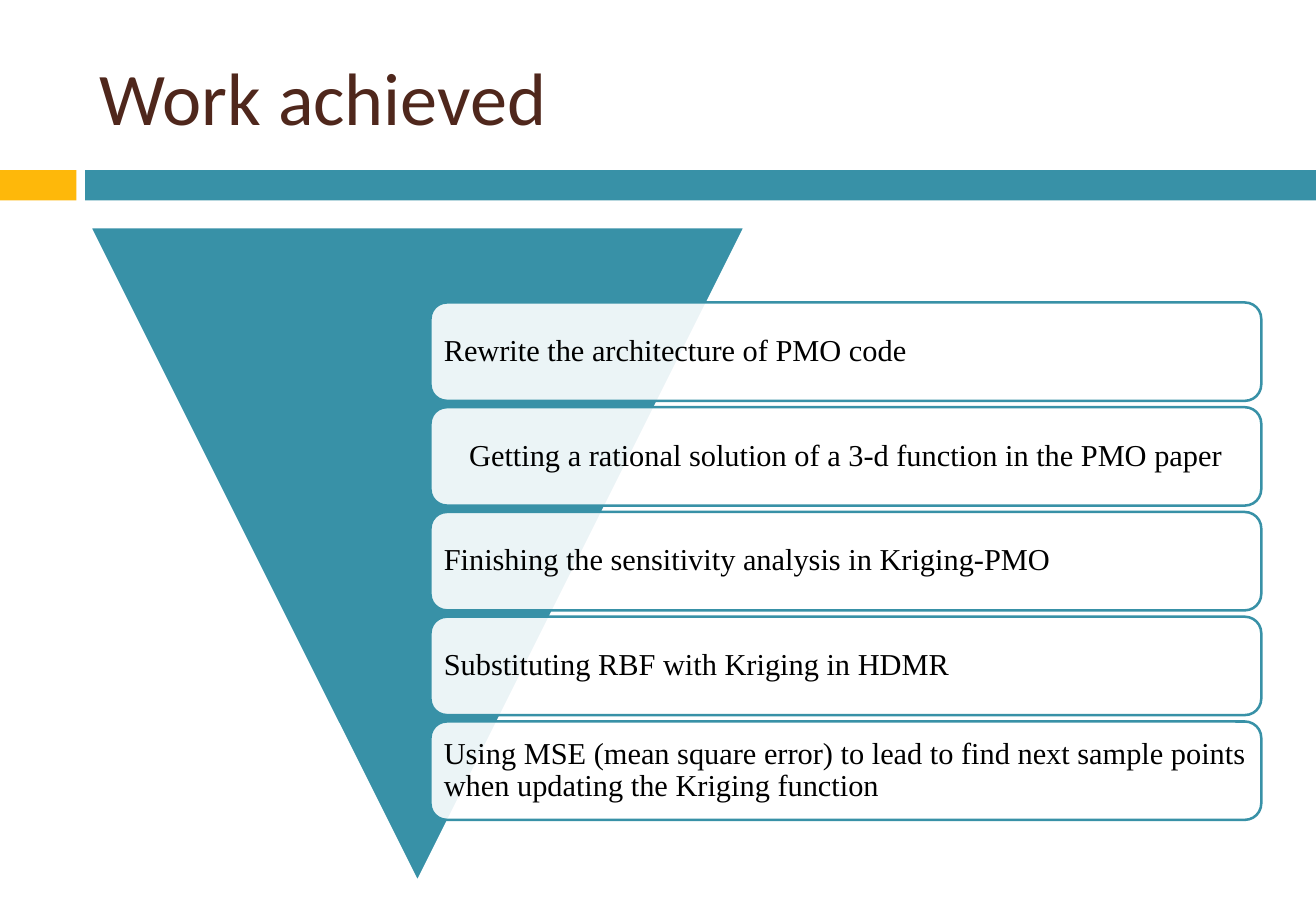
from pptx import Presentation
from pptx.dml.color import RGBColor
from pptx.enum.shapes import MSO_SHAPE
from pptx.enum.text import MSO_ANCHOR, PP_ALIGN
from pptx.oxml.ns import qn
from pptx.util import Inches, Pt
from lxml import etree

RECTANGLE = MSO_SHAPE.RECTANGLE
ROUNDED = MSO_SHAPE.ROUNDED_RECTANGLE
TRIANGLE = MSO_SHAPE.ISOSCELES_TRIANGLE
MIDDLE = MSO_ANCHOR.MIDDLE
LEFT, CENTER = PP_ALIGN.LEFT, PP_ALIGN.CENTER

TITLE = "Work achieved"
ACHIEVEMENTS = [
    ("Rewrite the architecture of PMO code", LEFT),
    ("Getting a rational solution of a 3-d function in the PMO paper", CENTER),
    ("Finishing the sensitivity analysis in Kriging-PMO", LEFT),
    ("Substituting RBF with Kriging in HDMR", LEFT),
    ("Using MSE (mean square error) to lead to find next sample points "
     "when updating the Kriging function", LEFT),
]
TEAL, AMBER, BROWN, WHITE, BLACK = "3891A7", "FEB80A", "4F271C", "FFFFFF", "000000"

WIDTH, HEIGHT = 10.83, 7.5
BAND_TOP, BAND_HEIGHT = 1.4, 0.25
BAND_PARTS = [(0, 0.63, AMBER), (0.7, WIDTH - 0.7, TEAL)]
TRIANGLE_LEFT, TRIANGLE_TOP, TRIANGLE_SIZE = 0.74, 1.87, 5.39
BOX_LEFT, BOX_TOP = TRIANGLE_LEFT + TRIANGLE_SIZE * 0.52, 2.49
BOX_RIGHT, BOX_HEIGHT = 10.38, 0.81
ROW_STEP = TRIANGLE_SIZE * 0.16


def color(hex_text):
    return RGBColor.from_string(hex_text)


def add_figure(slide, kind, left, top, width, height, fill, line=None):
    shape = slide.shapes.add_shape(
        kind, Inches(left), Inches(top), Inches(width), Inches(height))
    shape.shadow.inherit = False
    shape.fill.solid()
    shape.fill.fore_color.rgb = color(fill)
    if line:
        shape.line.color.rgb = color(line)
        shape.line.width = Pt(1.5)
    else:
        shape.line.fill.background()
    return shape


def set_opacity(shape, percent):
    fill_color = shape.fill._xPr.find(qn("a:solidFill"))[0]
    etree.SubElement(fill_color, qn("a:alpha")).set("val", str(percent * 1000))


def write(shape, text, font, size, text_color, align):
    frame = shape.text_frame
    frame.text = text
    frame.word_wrap = True
    frame.vertical_anchor = MIDDLE
    para = frame.paragraphs[0]
    para.alignment = align
    span = para.runs[0].font
    span.name, span.size = font, Pt(size)
    span.color.rgb = color(text_color)
    return frame


deck = Presentation()
deck.slide_width, deck.slide_height = Inches(WIDTH), Inches(HEIGHT)
slide = deck.slides.add_slide(deck.slide_layouts[5])

for left, width, fill in BAND_PARTS:
    add_figure(slide, RECTANGLE, left, BAND_TOP, width, BAND_HEIGHT, fill)

funnel = add_figure(slide, TRIANGLE, TRIANGLE_LEFT, TRIANGLE_TOP,
                    TRIANGLE_SIZE, TRIANGLE_SIZE, TEAL, WHITE)
funnel.rotation = 180

for row, (text, align) in enumerate(ACHIEVEMENTS):
    box = add_figure(slide, ROUNDED, BOX_LEFT, BOX_TOP + row * ROW_STEP,
                     BOX_RIGHT - BOX_LEFT, BOX_HEIGHT, WHITE, TEAL)
    set_opacity(box, 90)
    frame = write(box, text, "Times New Roman", 18, BLACK, align)
    frame.margin_left = frame.margin_right = Inches(0.07)
    frame.margin_top = frame.margin_bottom = Inches(0.07)
    frame.paragraphs[0].line_spacing = 0.9

title = slide.shapes.title
title.left, title.top = Inches(0.72), Inches(0.25)
title.width, title.height = Inches(BOX_RIGHT - 0.72), Inches(1.08)
write(title, TITLE, "Calibri", 44, BROWN, LEFT)

deck.save("out.pptx")
